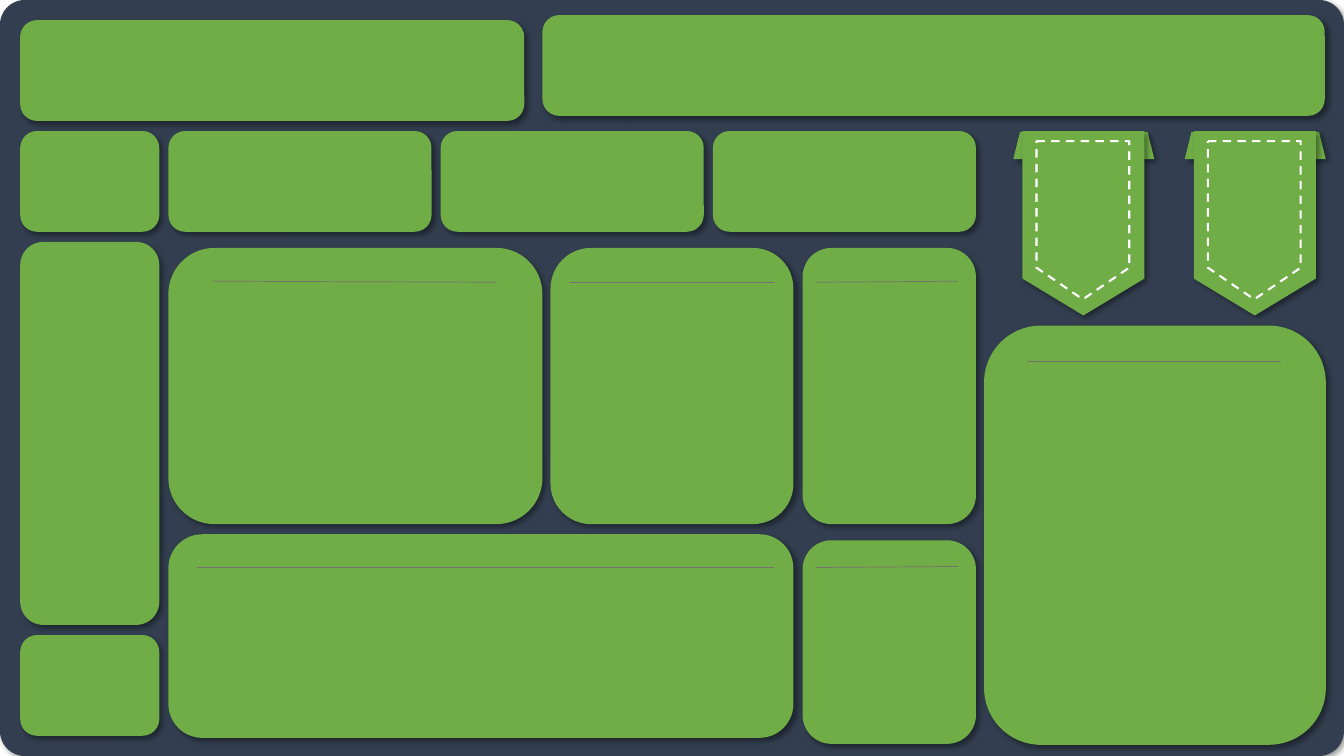
from dataclasses import dataclass

from lxml import etree
from pptx import Presentation
from pptx.dml.color import RGBColor
from pptx.enum.dml import MSO_LINE
from pptx.enum.shapes import MSO_CONNECTOR, MSO_SHAPE
from pptx.oxml.ns import qn
from pptx.util import Inches, Pt

ROUNDED = MSO_SHAPE.ROUNDED_RECTANGLE
TRAPEZOID = MSO_SHAPE.TRAPEZOID
PENNANT = MSO_SHAPE.FLOWCHART_OFFPAGE_CONNECTOR
STRAIGHT = MSO_CONNECTOR.STRAIGHT
DASH = MSO_LINE.DASH
BLANK_LAYOUT = 6


@dataclass(frozen=True)
class Theme:
    board: str = "333F50"
    card: str = "70AD47"
    stitch: str = "FFFFFF"
    rule: str = "767171"
    shadow: str = "000000"
    stitch_width: float = 1.5
    rule_width: float = 0.5


THEME = Theme()
WIDTH, HEIGHT = 13.33, 7.5

# Left and right edges of the five columns, in inches
COLUMNS = [(0.2, 1.58), (1.67, 5.38), (5.46, 7.87), (7.96, 9.68), (9.76, 13.15)]
# Top and height of the named rows
CARD_HEIGHT = 1
TOP_ROW, CARD_ROW = 1.3, 6.3
UPPER, LOWER_WIDE, LOWER_SMALL = (2.46, 2.74), (5.3, 2.02), (5.36, 2.02)
PENNANT_LEFTS = (10.14, 11.84)


def add_shadow(shape):
    """Give a shape the soft shadow towards the lower right."""
    shape.shadow.inherit = False
    effects = shape._element.spPr.find(qn("a:effectLst"))
    shadow = etree.SubElement(effects, qn("a:outerShdw"), blurRad=str(Pt(4)),
                              dist=str(Pt(3)), dir=str(45 * 60000),
                              algn="tl", rotWithShape="0")
    color = etree.SubElement(shadow, qn("a:srgbClr"), val=THEME.shadow)
    etree.SubElement(color, qn("a:alpha"), val="40000")


def add_filled(page, kind, left, top, width, height, color=THEME.card):
    shape = page.shapes.add_shape(kind, Inches(left), Inches(top),
                                  Inches(width), Inches(height))
    shape.fill.solid()
    shape.fill.fore_color.rgb = RGBColor.from_string(color)
    shape.line.fill.background()
    add_shadow(shape)
    return shape


def add_panel(page, first, last, row, insets, drop, rise=0):
    """Panel from column first to last, with a thin rule under its heading."""
    left, right = COLUMNS[first][0], COLUMNS[last][1]
    top, height = row
    add_filled(page, ROUNDED, left, top, right - left, height)
    rule = page.shapes.add_connector(
        STRAIGHT, Inches(left + insets[0]), Inches(top + drop),
        Inches(right - insets[1]), Inches(top + drop - rise))
    rule.line.color.rgb = RGBColor.from_string(THEME.rule)
    rule.line.width = Pt(THEME.rule_width)
    etree.SubElement(rule._element.spPr, qn("a:effectLst"))


def add_pennant(page, left):
    """Ribbon with folded ends behind it and a dashed seam in front."""
    add_filled(page, TRAPEZOID, left - 0.09, TOP_ROW + 0.01, 1.4, 0.27)
    add_filled(page, PENNANT, left, TOP_ROW, 1.21, 1.83)
    seam = page.shapes.add_shape(PENNANT, Inches(left + 0.14), Inches(TOP_ROW + 0.1),
                                 Inches(0.92), Inches(1.57))
    seam.shadow.inherit = False
    seam.fill.background()
    seam.line.color.rgb = RGBColor.from_string(THEME.stitch)
    seam.line.width = Pt(THEME.stitch_width)
    seam.line.dash_style = DASH


def add_cards(page):
    # Header cards
    add_filled(page, ROUNDED, 0.2, 0.2, 5, CARD_HEIGHT)
    add_filled(page, ROUNDED, 5.38, 0.15, 7.76, CARD_HEIGHT)

    # Side column
    side_left, side_right = COLUMNS[0]
    for top, height in ((TOP_ROW, CARD_HEIGHT), (2.4, 3.8), (CARD_ROW, CARD_HEIGHT)):
        add_filled(page, ROUNDED, side_left, top, side_right - side_left, height)

    # Three equal cards across the middle columns
    start, end = COLUMNS[1][0], COLUMNS[3][1]
    card_width = 2.61
    step = (end - start - card_width) / 2
    for index in range(3):
        add_filled(page, ROUNDED, start + index * step, TOP_ROW, card_width, CARD_HEIGHT)


def main():
    deck = Presentation()
    deck.slide_width, deck.slide_height = Inches(WIDTH), Inches(HEIGHT)
    page = deck.slides.add_slide(deck.slide_layouts[BLANK_LAYOUT])

    # Board
    board = add_filled(page, ROUNDED, 0, 0, WIDTH, HEIGHT, THEME.board)
    board.adjustments[0] = 0.033

    add_cards(page)
    for left in PENNANT_LEFTS:
        add_pennant(page, left)

    # Panels: first column, last column, row, rule insets, rule drop and rise
    add_panel(page, 1, 1, UPPER, (0.44, 0.45), 0.33, -0.01)
    add_panel(page, 2, 2, UPPER, (0.19, 0.19), 0.34)
    add_panel(page, 3, 3, UPPER, (0.14, 0.18), 0.34, 0.01)
    add_panel(page, 1, 2, LOWER_WIDE, (0.28, 0.19), 0.33)
    add_panel(page, 3, 3, LOWER_SMALL, (0.14, 0.18), 0.27, 0.01)
    add_panel(page, 4, 4, (3.23, 4.16), (0.43, 0.44), 0.36)

    deck.save("out.pptx")


if __name__ == "__main__":
    main()
